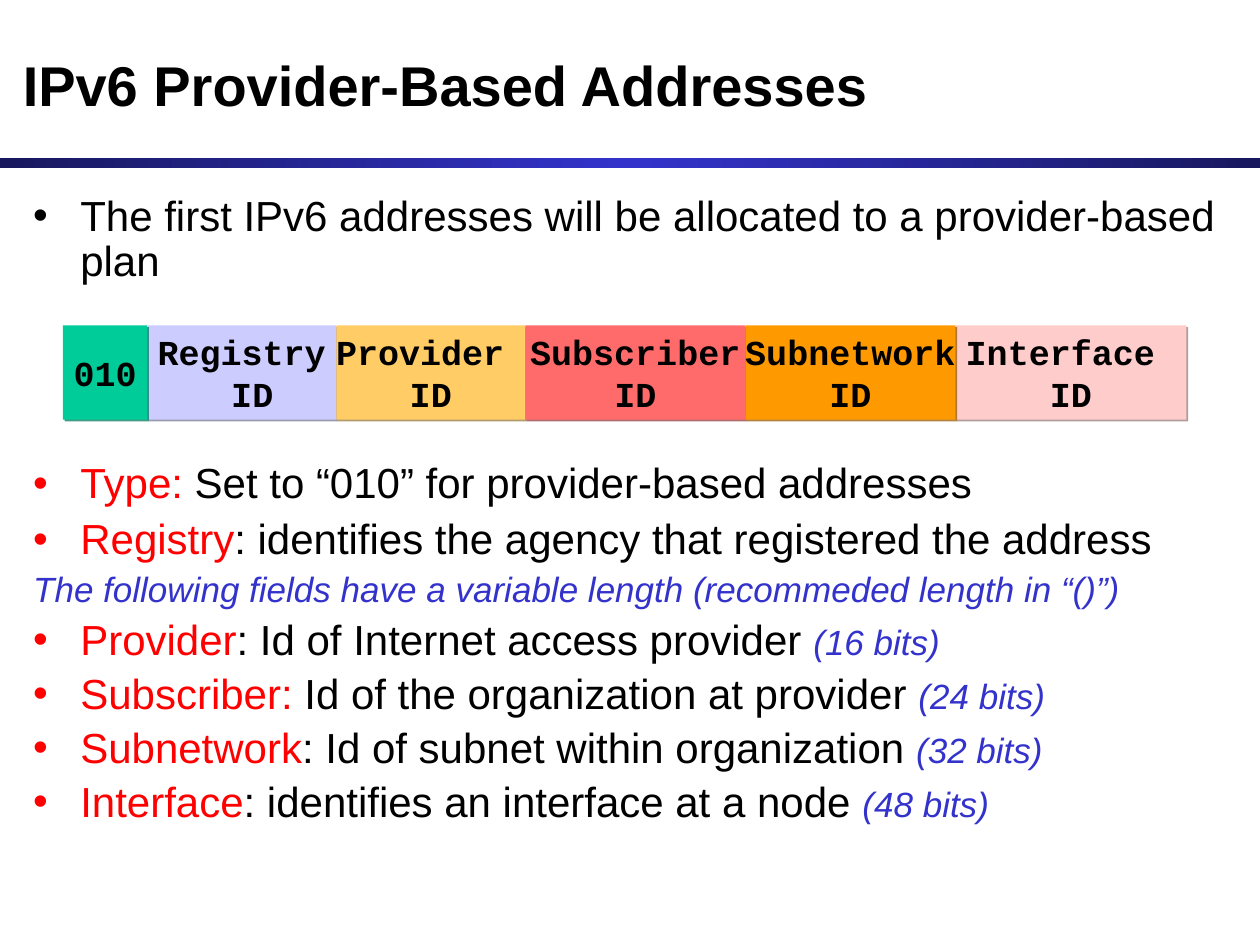
from copy import deepcopy
from itertools import accumulate

from lxml import etree
from pptx import Presentation
from pptx.dml.color import RGBColor
from pptx.enum.shapes import MSO_SHAPE
from pptx.enum.text import MSO_ANCHOR, PP_ALIGN
from pptx.oxml.ns import qn
from pptx.util import Cm, Pt

RECT = MSO_SHAPE.RECTANGLE
MIDDLE = MSO_ANCHOR.MIDDLE
CENTER = PP_ALIGN.CENTER


class Theme:
    sans = "Arial"
    mono = "Courier New"
    black = "000000"
    red = "FF0000"
    blue = "3333CC"
    navy = "18185E"
    title = 32
    body = 24
    small = 20


class Deck:
    def __init__(self, wide, high):
        self.prs = Presentation()
        self.prs.slide_width, self.prs.slide_height = Cm(wide), Cm(high)
        self.slide = self.prs.slides.add_slide(self.prs.slide_layouts[6])

    def style(self, font, size, color, bold=None, italic=None):
        font.size = Pt(size)
        font.color.rgb = RGBColor.from_string(color)
        font.bold, font.italic = bold, italic

    def rect(self, x, y, w, h):
        box = self.slide.shapes.add_shape(RECT, Cm(x), Cm(y), Cm(w), Cm(h))
        box.shadow.inherit = False
        box.line.fill.background()
        return box

    def band(self, x, y, w, h, colors):
        fill = self.rect(x, y, w, h).fill
        fill.gradient()
        fill.gradient_angle = 0
        stops = self.slide.shapes[-1].element.spPr.find(".//" + qn("a:gsLst"))
        stops.insert(1, deepcopy(stops[0]))
        for i, (stop, color) in enumerate(zip(fill.gradient_stops, colors)):
            stop.position = i / (len(colors) - 1)
            stop.color.rgb = RGBColor.from_string(color)

    def cell(self, x, y, w, h, text, color, shade):
        box = self.rect(x, y, w, h)
        box.fill.solid()
        box.fill.fore_color.rgb = RGBColor.from_string(color)
        effects = box.element.spPr.find(qn("a:effectLst"))
        shadow = etree.SubElement(effects, qn("a:outerShdw"), dist=str(Pt(1.4)),
                                  dir="2700000", algn="ctr", rotWithShape="0")
        tint = etree.SubElement(shadow, qn("a:srgbClr"), val=shade)
        etree.SubElement(tint, qn("a:alpha"), val="75000")
        frame = box.text_frame
        frame.word_wrap = False
        frame.vertical_anchor = MIDDLE
        para = frame.paragraphs[0]
        para.text = text
        para.alignment = CENTER
        para.font.name = Theme.mono
        self.style(para.font, Theme.small, Theme.black, bold=True)

    def text(self, x, y, w, h):
        box = self.slide.shapes.add_textbox(Cm(x), Cm(y), Cm(w), Cm(h))
        box.text_frame.word_wrap = True
        return box.text_frame

    def title(self, x, y, w, h, text):
        frame = self.text(x, y, w, h)
        frame.vertical_anchor = MIDDLE
        para = frame.paragraphs[0]
        para.text = text
        para.font.name = Theme.sans
        self.style(para.font, Theme.title, Theme.black, bold=True)

    def bullet(self, para, color):
        props = para._p.get_or_add_pPr()
        props.set("marL", str(Cm(0.95)))
        props.set("indent", str(Cm(-0.95)))
        paint = etree.SubElement(props, qn("a:buClr"))
        etree.SubElement(paint, qn("a:srgbClr"), val=color)
        etree.SubElement(props, qn("a:buFont"), typeface=Theme.sans)
        etree.SubElement(props, qn("a:buChar"), char="•")

    def items(self, x, y, w, h, rows):
        frame = self.text(x, y, w, h)
        for i, (mark, gap, runs) in enumerate(rows):
            para = frame.add_paragraph() if i else frame.paragraphs[0]
            if mark:
                self.bullet(para, mark)
            para.line_spacing = 0.9
            para.space_before = Pt(gap)
            para.font.name = Theme.sans
            if len(runs) == 1:
                para.text, look = runs[0]
                self.style(para.font, *look)
                continue
            for words, look in runs:
                run = para.add_run()
                run.text = words
                self.style(run.font, *look)


PLAIN = (Theme.body, Theme.black)
TERM = (Theme.body, Theme.red)
NOTE = (Theme.small, Theme.blue, None, True)

CELLS = [
    ("010", 1.7, "00CC99", "007A5C"),
    ("Registry\v ID", 3.81, "CCCCFF", "7A7A99"),
    ("Provider \vID", 3.81, "FFCC66", "997A3D"),
    (" Subscriber \vID", 4.44, "FF6B6B", "994040"),
    ("Subnetwork\vID", 4.23, "FF9900", "995C00"),
    ("Interface \vID", 4.66, "FFCCCC", "997A7A"),
]
LAYERS = (1, 2, 0, 3, 5, 4)

INTRO = "The first IPv6 addresses will be allocated to a provider-based plan"
REMARK = "The following fields have a variable length (recommeded length in “()”)"
FIELDS = [
    ("Type: ", "Set to “010” for provider-based addresses"),
    ("Registry", ": identifies the agency that registered the address"),
]
SIZED = [
    ("Provider", ": Id of Internet access provider ", 16),
    ("Subscriber:", " Id of the organization at provider ", 24),
    ("Subnetwork", ": Id of subnet within organization ", 32),
    ("Interface", ": identifies an interface at a node ", 48),
]


def main():
    deck = Deck(25.4, 19.05)
    deck.band(0, 3.18, 25.4, 0.21, (Theme.navy, Theme.blue, Theme.navy))
    deck.title(0.21, 0.42, 24.97, 2.54, "IPv6 Provider-Based Addresses")
    deck.items(0.42, 3.81, 24.77, 2.2, [(Theme.black, 0, [(INTRO, PLAIN)])])

    rows = [(Theme.red, 6 * (i > 0), [(term, TERM), (words, PLAIN)])
            for i, (term, words) in enumerate(FIELDS)]
    rows.append((None, 5, [(REMARK, NOTE)]))
    rows += [(Theme.red, 5, [(term, TERM), (words, PLAIN), (f"({bits} bits)", NOTE)])
             for term, words, bits in SIZED]
    deck.items(0.42, 9.2, 24.77, 8.15, rows)

    lefts = list(accumulate((cell[1] for cell in CELLS), initial=1.27))
    for i in LAYERS:
        text, wide, color, shade = CELLS[i]
        deck.cell(lefts[i], 6.56, wide, 1.9, text, color, shade)
    deck.prs.save("out.pptx")


if __name__ == "__main__":
    main()
